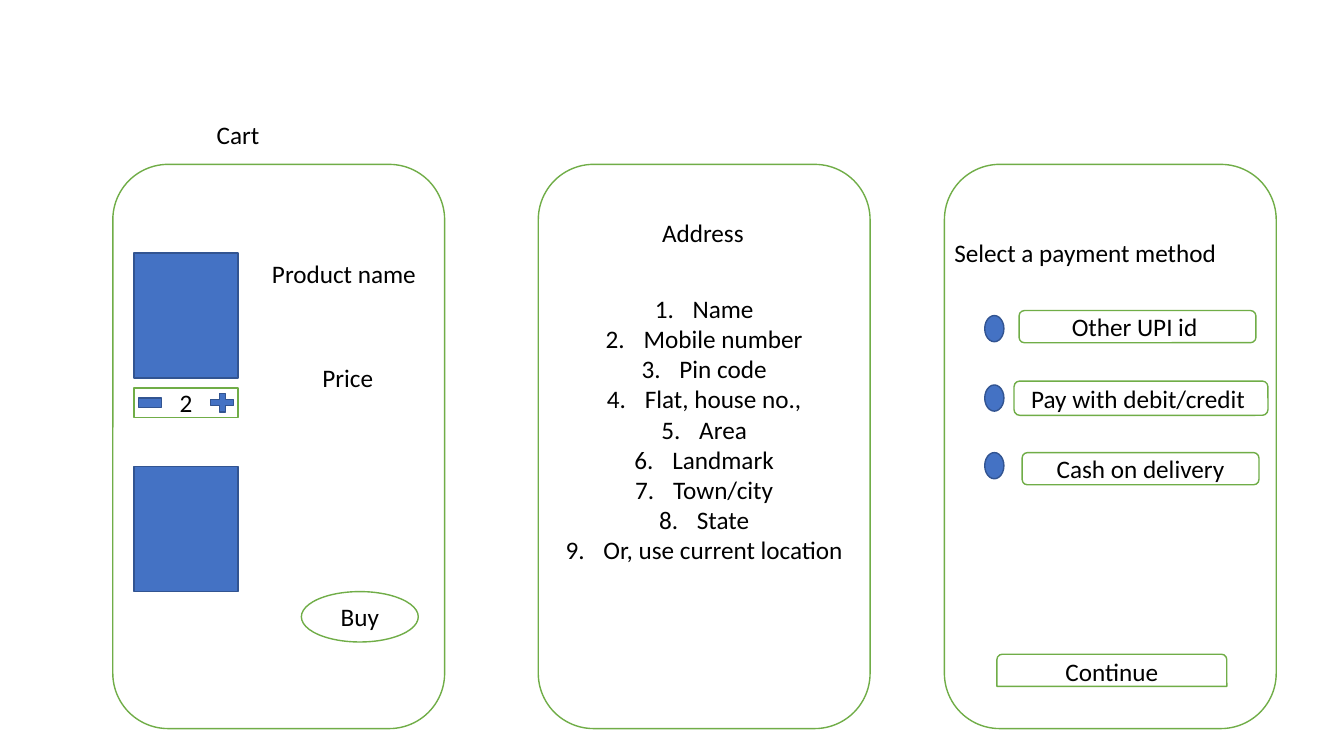
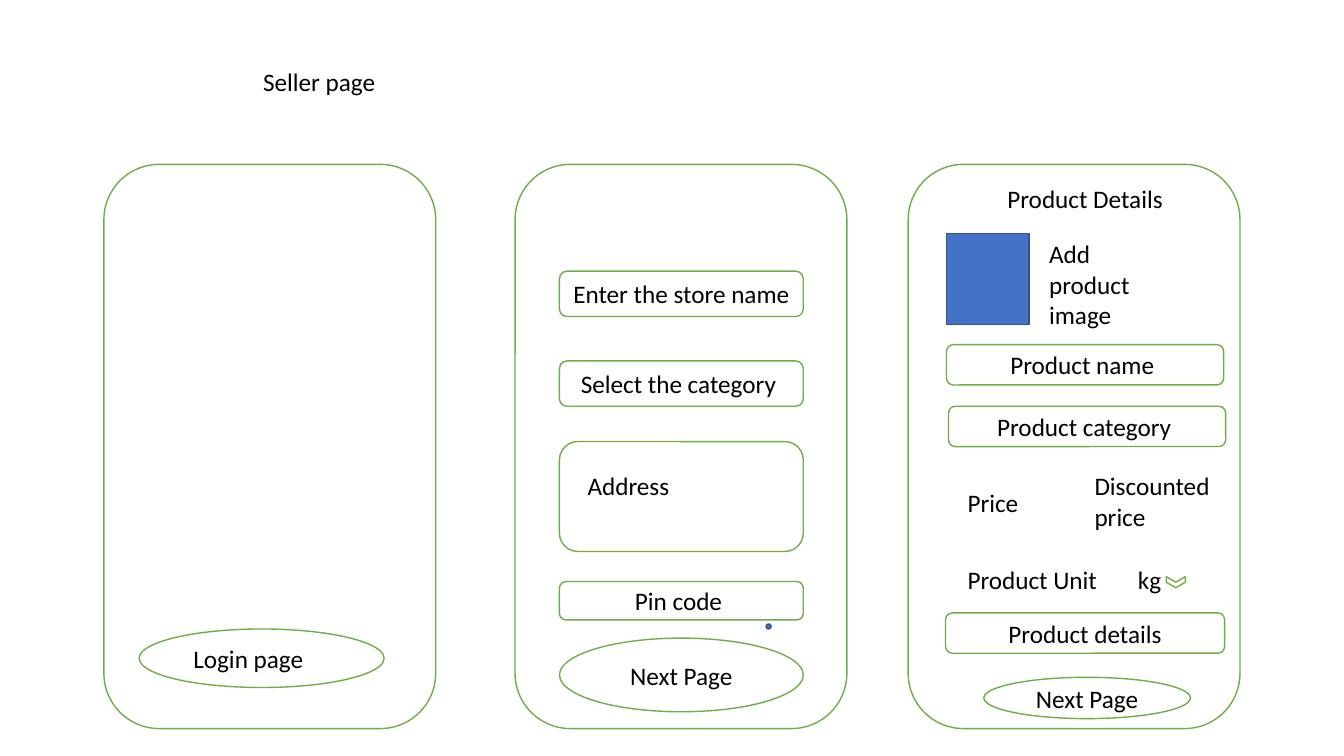
import pptx
import pptx.dml.color
import pptx.enum.shapes
import pptx.enum.text
import pptx.oxml.ns
import pptx.util
import lxml.etree

Pt = pptx.util.Pt
PRESET = pptx.enum.shapes.MSO_SHAPE
ALIGN = pptx.enum.text.PP_ALIGN
ANCHOR = pptx.enum.text.MSO_ANCHOR
COLORS = {
    "black": "000000",
    "white": "FFFFFF",
    "green": "70AD47",
    "blue": "4472C4",
    "navy": "325491",
}
FONT = "Calibri"
PHONE_TOP, PHONE_WIDTH, PHONE_HEIGHT = 117.4, 237, 403
LINE_HEIGHT = 28.8
ADDRESS_FIELDS = [
    "Name", "Mobile number", "Pin code", "Flat, house no.,", "Area",
    "Landmark", "Town/city", "State", "Or, use current location",
]


def color(name):
    return pptx.dml.color.RGBColor.from_string(COLORS[name])


def place(shape, left, top, width, height):
    shape.left, shape.top = Pt(left), Pt(top)
    shape.width, shape.height = Pt(width), Pt(height)


def number_paragraph(paragraph):
    properties = paragraph._p.get_or_add_pPr()
    properties.set("marL", str(Pt(27)))
    properties.set("indent", str(-Pt(27)))
    bullet_font = lxml.etree.SubElement(properties, pptx.oxml.ns.qn("a:buFont"))
    bullet_font.set("typeface", "+mj-lt")
    numbering = lxml.etree.SubElement(properties, pptx.oxml.ns.qn("a:buAutoNum"))
    numbering.set("type", "arabicPeriod")


def write_text(shape, text, align=ALIGN.LEFT, anchor=ANCHOR.TOP, size=18, numbered=False):
    frame = shape.text_frame
    frame.text = text
    frame.word_wrap = True
    frame.auto_size = pptx.enum.text.MSO_AUTO_SIZE.NONE
    frame.vertical_anchor = anchor
    for paragraph in frame.paragraphs:
        paragraph.alignment = align
        paragraph.line_spacing = 1.0
        paragraph.space_before = Pt(0)
        if numbered:
            number_paragraph(paragraph)
        paragraph.font.size = Pt(size)
        paragraph.font.name = FONT
        paragraph.font.color.rgb = color("black")


def add_label(slide, text, left, top, width, height=LINE_HEIGHT, **text_format):
    label = slide.shapes.add_textbox(Pt(left), Pt(top), Pt(width), Pt(height))
    write_text(label, text, **text_format)


def add_box(slide, preset, left, top, width, height, text="", fill="white", line="green"):
    shape = slide.shapes.add_shape(preset, Pt(left), Pt(top), Pt(width), Pt(height))
    shape.shadow.inherit = False
    shape.fill.solid()
    shape.fill.fore_color.rgb = color(fill)
    shape.line.color.rgb = color(line)
    shape.line.width = Pt(1)
    if text:
        write_text(shape, text, align=ALIGN.CENTER, anchor=ANCHOR.MIDDLE)
    return shape


def add_solid(slide, preset, left, top, width, height):
    return add_box(slide, preset, left, top, width, height, fill="blue", line="navy")


def add_phone(slide, left, top):
    add_box(slide, PRESET.ROUNDED_RECTANGLE, left, top, PHONE_WIDTH, PHONE_HEIGHT)


def add_titled_slide(presentation, layout_index, title, left, top, width, height):
    slide = presentation.slides.add_slide(presentation.slide_layouts[layout_index])
    place(slide.shapes.title, left, top, width, height)
    write_text(slide.shapes.title, title)
    return slide


def add_cart_phone(slide, left, top):
    add_phone(slide, left, top)
    column = left + 15.2
    for offset in (63.3, 216):
        add_solid(slide, PRESET.RECTANGLE, column, top + offset, 74.2, 89.3)
    add_box(slide, PRESET.RECTANGLE, column, top + 159.8, 74.2, 20.9, "2")
    add_solid(slide, PRESET.MATH_PLUS, left + 67, top + 161.2, 22.3, 18)
    add_solid(slide, PRESET.MATH_MINUS, column, top + 156.2, 22.3, 28.1)
    add_box(slide, PRESET.OVAL, left + 134.7, top + 305.2, 83.5, 36, "Buy")
    add_label(slide, "Product name", left + 106.6, top + 63.3, 123.8)
    add_label(slide, "Price", left + 142.6, top + 138.2, 83.5)


def add_address_phone(slide, left, top):
    add_phone(slide, left, top)
    add_label(slide, "Address", left + 81.3, top + 34.5, 145.4)
    body = slide.placeholders[1]
    place(body, left, top + 88.2, PHONE_WIDTH, 210)
    write_text(body, "\n".join(ADDRESS_FIELDS), align=ALIGN.CENTER, numbered=True)
    body.element.getparent().append(body.element)


def add_payment_phone(slide, left, top):
    add_phone(slide, left, top)
    add_label(slide, "Select a payment method", left, top + 48.9, 222.5)
    add_box(slide, PRESET.ROUND_2_SAME_RECTANGLE, left + 37.5, top + 349.9, 164.2, 23, "Continue")
    options = [
        ("Other UPI id ", 108, 53.3, 104.4, 169.2, 23),
        ("Pay with debit/credit ", 157.6, 49.7, 154.8, 181.4, 24.5),
        ("Cash on delivery", 205.9, 55.5, 205.9, 169.2, 23),
    ]
    for text, radio_top, box_left, box_top, width, height in options:
        add_solid(slide, PRESET.OVAL, left + 28.8, top + radio_top, 13.7, 18.7)
        add_box(slide, PRESET.ROUNDED_RECTANGLE, left + box_left, top + box_top, width, height, text)


def add_login_phone(slide, left, top):
    add_phone(slide, left, top)
    add_box(slide, PRESET.OVAL, left + 25.2, top + 331.9, 175, 41.8)
    add_label(slide, "Login page", left + 56.8, top + 338.4, 111.6)


def add_store_phone(slide, left, top):
    add_phone(slide, left, top)
    fields = [
        (PRESET.ROUNDED_RECTANGLE, "Enter the store name", 76.3, 32.4),
        (PRESET.ROUNDED_RECTANGLE, "Select the category ", 140.4, 32.4),
        (PRESET.ROUNDED_RECTANGLE, "", 198, 78.5),
        (PRESET.ROUNDED_RECTANGLE, "Pin code ", 298, 27.4),
        (PRESET.OVAL, "Next Page", 338.4, 52.6),
    ]
    for preset, text, offset, height in fields:
        add_box(slide, preset, left + 31.7, top + offset, 174.2, height, text)
    add_label(slide, "Address", left + 44.7, top + 215.2, 134.6, 51)
    add_solid(slide, PRESET.OVAL, left + 179.3, top + 328.3, 3.6, 3.6)


def add_product_phone(slide, left, top):
    add_phone(slide, left, top)
    add_label(slide, "Product Details", left + 50.4, top + 10, 151.9, align=ALIGN.CENTER)
    add_solid(slide, PRESET.RECTANGLE, left + 27.4, top + 49.6, 59, 64.8)
    labels = [
        ("Add product image", 93.6, 49.6, 97.2, 72.7),
        ("Price", 35.3, 226.8, 101.5, LINE_HEIGHT),
        ("Discounted price", 126, 215.2, 109.4, 51),
        ("Product Unit", 35.3, 282.2, 109.4, LINE_HEIGHT),
        ("kg", 157, 282.2, 80, LINE_HEIGHT),
    ]
    for text, label_left, label_top, width, height in labels:
        add_label(slide, text, left + label_left, top + label_top, width, height)
    fields = [
        ("Product name ", 27.4, 128.8, 198),
        ("Product category ", 28.8, 172.8, 198),
        ("Product details", 26.7, 320.4, 199.4),
    ]
    for text, field_left, field_top, width in fields:
        add_box(slide, PRESET.ROUNDED_RECTANGLE, left + field_left, top + field_top,
                width, LINE_HEIGHT, text)
    unit_arrow = add_box(slide, PRESET.CHEVRON, left + 187.2, top + 291.6, 7.9, 13.7)
    unit_arrow.rotation = 90
    add_box(slide, PRESET.OVAL, left + 54, top + 366.4, 147.6, 29.5, "Next Page")


def main():
    presentation = pptx.Presentation()
    presentation.slide_width, presentation.slide_height = Pt(960), Pt(540)

    buyer_slide = add_titled_slide(presentation, 1, "Cart", 147.6, 81.4, 151.2, LINE_HEIGHT)
    add_cart_phone(buyer_slide, 80.6, PHONE_TOP)
    add_address_phone(buyer_slide, 384.5, PHONE_TOP)
    add_payment_phone(buyer_slide, 674.6, PHONE_TOP)

    seller_slide = add_titled_slide(presentation, 5, "Seller page", 180.7, 43.9, 187.9, 51)
    add_login_phone(seller_slide, 74.2, PHONE_TOP)
    add_store_phone(seller_slide, 367.9, PHONE_TOP)
    add_product_phone(seller_slide, 648.7, PHONE_TOP)

    presentation.save("out.pptx")


if __name__ == "__main__":
    main()
